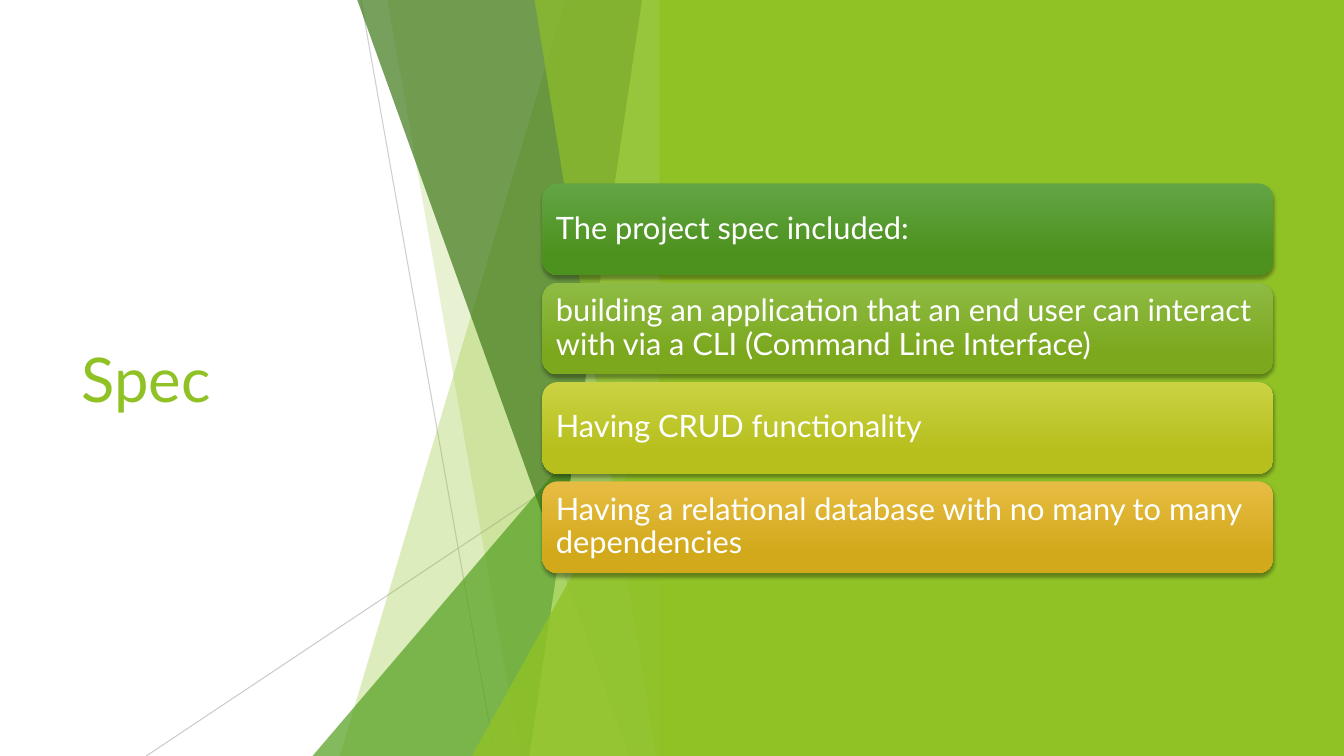
from dataclasses import dataclass

from pptx import Presentation
from pptx.dml.color import RGBColor
from pptx.enum.shapes import MSO_CONNECTOR, MSO_SHAPE
from pptx.enum.text import MSO_ANCHOR, PP_ALIGN
from pptx.oxml.ns import qn
from pptx.util import Inches, Pt
from lxml import etree

STRAIGHT = MSO_CONNECTOR.STRAIGHT
RECTANGLE = MSO_SHAPE.RECTANGLE
ROUNDED = MSO_SHAPE.ROUNDED_RECTANGLE
TRIANGLE = MSO_SHAPE.ISOSCELES_TRIANGLE
MIDDLE = MSO_ANCHOR.MIDDLE
LEFT = PP_ALIGN.LEFT


@dataclass(frozen=True)
class Theme:
    font: str = "Lato"
    title_size: float = 44
    card_size: float = 22
    white: str = "FFFFFF"
    lime: str = "90C226"
    pale_lime: str = "C0E474"
    green: str = "54A021"
    dark_green: str = "3F7819"
    hairline: str = "BFBFBF"
    shadow: str = "000000"


@dataclass(frozen=True)
class Hairline:
    start: tuple[float, float]
    end: tuple[float, float]
    opacity: int


@dataclass(frozen=True)
class Band:
    """A full-height facet: left edge at the top and at the bottom."""
    top_left: float
    bottom_left: float
    color: str
    opacity: int


@dataclass(frozen=True)
class Corner:
    """A right triangle rising from the bottom towards the panel."""
    left: float
    top: float
    color: str
    opacity: int


@dataclass(frozen=True)
class Card:
    text: str
    top_color: str
    bottom_color: str


THEME = Theme()
WIDTH, HEIGHT = 13.33, 7.5
FACET_RIGHT, BAND_TOP = 6.66, -0.01
PANEL_LEFT = 6.54
CARD_LEFT, CARD_TOP, CARD_WIDTH, CARD_HEIGHT = 5.38, 1.82, 7.25, 0.91
CARD_STEP = 0.985

HAIRLINES = [
    Hairline((3.58, 0), (4.91, HEIGHT), 75),
    Hairline((FACET_RIGHT, 4.03), (1.45, HEIGHT), 80),
]
FACETS = [
    Band(5.61, 3.37, THEME.lime, 30),
    Band(3.84, 5.16, THEME.lime, 20),
    Corner(3.1, 3.33, THEME.green, 72),
    Band(3.54, 6.24, THEME.dark_green, 70),
    Band(6.37, 5.25, THEME.pale_lime, 70),
    Band(5.3, 6.51, THEME.lime, 65),
    Corner(4.68, 3.93, THEME.lime, 80),
]
CARDS = [
    Card("The project spec included:", "63A545", "4D921E"),
    Card("building an application that an end user can interact with via a CLI "
         "(Command Line Interface)", "8EBB44", "7BA81D"),
    Card("Having CRUD functionality", "CAD243", "B6BF1B"),
    Card("Having a relational database with no many to many dependencies",
         "E7BC43", "D2A91B"),
]


def rgb(color: str) -> RGBColor:
    return RGBColor.from_string(color)


def set_opacity(shape, percent: int) -> None:
    for color in shape._element.spPr.iter(qn("a:srgbClr")):
        etree.SubElement(color, qn("a:alpha"), val=str(percent * 1000))


def paint(shape, color: str) -> None:
    shape.shadow.inherit = False
    shape.fill.solid()
    shape.fill.fore_color.rgb = rgb(color)
    shape.line.fill.background()


def write(shape, text: str, size: float, color: str):
    frame = shape.text_frame
    frame.word_wrap = True
    frame.vertical_anchor = MIDDLE
    para = frame.paragraphs[0]
    para.alignment = LEFT
    span = para.add_run()
    span.text = text
    span.font.name = THEME.font
    span.font.size = Pt(size)
    span.font.color.rgb = rgb(color)
    return frame


def draw_hairline(page, hairline: Hairline) -> None:
    line = page.shapes.add_connector(
        STRAIGHT, *map(Inches, hairline.start + hairline.end))
    line.line.color.rgb = rgb(THEME.hairline)
    line.line.width = Pt(0.75)
    set_opacity(line, hairline.opacity)
    etree.SubElement(line._element.spPr, qn("a:effectLst"))


def draw_facet(page, facet: Band | Corner) -> None:
    if isinstance(facet, Band):
        builder = page.shapes.build_freeform(
            Inches(facet.top_left), Inches(BAND_TOP))
        corners = [(FACET_RIGHT, BAND_TOP), (FACET_RIGHT, HEIGHT),
                   (facet.bottom_left, HEIGHT)]
        builder.add_line_segments(
            [(Inches(x), Inches(y)) for x, y in corners], close=True)
        shape = builder.convert_to_shape()
    else:
        shape = page.shapes.add_shape(
            TRIANGLE, Inches(facet.left), Inches(facet.top),
            Inches(FACET_RIGHT - facet.left), Inches(HEIGHT - facet.top))
        shape.adjustments[0] = 1
    paint(shape, facet.color)
    set_opacity(shape, facet.opacity)


def add_card_shadow(shape) -> None:
    shape.shadow.inherit = False
    effects = shape._element.spPr.find(qn("a:effectLst"))
    shadow = etree.SubElement(
        effects, qn("a:outerShdw"), blurRad=str(Pt(3)), dist=str(Pt(2)),
        dir="5400000", rotWithShape="0")
    color = etree.SubElement(shadow, qn("a:srgbClr"), val=THEME.shadow)
    etree.SubElement(color, qn("a:alpha"), val="35000")


def draw_card(page, card: Card, top: float) -> None:
    box = page.shapes.add_shape(
        ROUNDED, Inches(CARD_LEFT), Inches(top),
        Inches(CARD_WIDTH), Inches(CARD_HEIGHT))
    box.fill.gradient()
    box.fill.gradient_angle = 270
    stops = zip(box.fill.gradient_stops, (0, 0.78),
                (card.top_color, card.bottom_color))
    for stop, position, color in stops:
        stop.position = position
        stop.color.rgb = rgb(color)
    box.line.fill.background()
    add_card_shadow(box)
    frame = write(box, card.text, THEME.card_size, THEME.white)
    frame.margin_left = frame.margin_right = Inches(0.09)
    frame.margin_top = frame.margin_bottom = Inches(0.09)
    frame.paragraphs[0].line_spacing = 0.9


def main() -> None:
    deck = Presentation()
    deck.slide_width, deck.slide_height = Inches(WIDTH), Inches(HEIGHT)
    page = deck.slides.add_slide(deck.slide_layouts[6])

    # Title
    title = page.shapes.add_textbox(
        Inches(0.71), Inches(1.51), Inches(3.88), Inches(4.48))
    write(title, "Spec", THEME.title_size, THEME.lime)

    # Faceted divider
    for hairline in HAIRLINES:
        draw_hairline(page, hairline)
    for facet in FACETS:
        draw_facet(page, facet)

    # Right panel
    panel = page.shapes.add_shape(
        RECTANGLE, Inches(PANEL_LEFT), 0,
        Inches(WIDTH - PANEL_LEFT), Inches(HEIGHT))
    paint(panel, THEME.lime)

    # Requirement cards
    for index, card in enumerate(CARDS):
        draw_card(page, card, CARD_TOP + index * CARD_STEP)

    deck.save("out.pptx")


if __name__ == "__main__":
    main()
